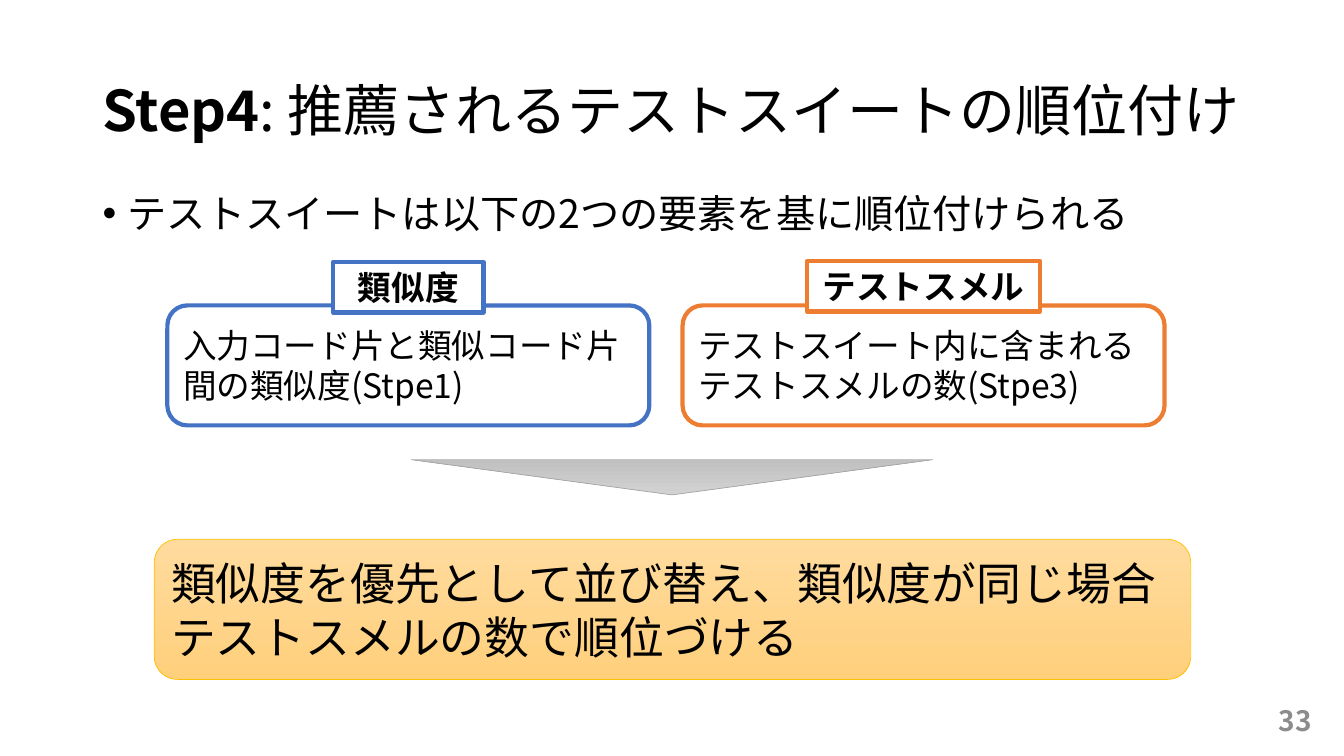
from lxml.etree import SubElement
from pptx import Presentation
from pptx.dml.color import RGBColor
from pptx.enum.shapes import MSO_SHAPE
from pptx.enum.text import MSO_ANCHOR, PP_ALIGN
from pptx.oxml.ns import qn
from pptx.util import Inches, Pt

FONT = "Noto Sans CJK JP"
COLORS = {
    "black": "000000", "white": "FFFFFF", "number": "8C8C8C",
    "blue": "4472C4", "orange": "ED7D31", "gray": "A5A5A5", "gold": "FFC000",
    "gray_light": "D2D2D2", "gray_dark": "C0C0C0",
    "gold_light": "FFDB9E", "gold_dark": "FFD07C",
}
TITLE = [("Step4", True), (": 推薦されるテストスイートの順位付け", False)]
LEAD = [("テストスイートは以下の2つの要素を基に順位付けられる", False)]
PAGE_NUMBER = [("33", True)]
FACTORS = [
    {"label": "類似度", "text": "入力コード片と類似コード片間の類似度(Stpe1)",
     "color": "blue", "left": 1.66, "label_width": 1.49, "label_top": 2.6},
    {"label": "テストスメル", "text": "テストスイート内に含まれるテストスメルの数(Stpe3)",
     "color": "orange", "left": 6.77, "label_width": 2.31, "label_top": 2.59},
]
CONCLUSION = [("類似度を優先として並び替え、類似度が同じ場合テストスメルの数で順位づける", False)]
FACTOR_TOP, FACTOR_WIDTH, FACTOR_HEIGHT = 3.03, 4.78, 1.19
LABEL_HEIGHT = 0.5


def rgb(name):
    """Return the named colour."""
    return RGBColor.from_string(COLORS[name])


def write(shape, spans, size, color="black", anchor=MSO_ANCHOR.MIDDLE, **layout):
    """Fill a shape with one paragraph and return that paragraph."""
    frame = shape.text_frame
    frame.word_wrap = True
    frame.vertical_anchor = anchor
    para = frame.paragraphs[0]
    for name, value in {"alignment": PP_ALIGN.LEFT, **layout}.items():
        setattr(para, name, value)
    for text, bold in spans:
        span = para.add_run()
        span.text = text
        for name, value in {"name": FONT, "size": Pt(size), "bold": bold}.items():
            setattr(span.font, name, value)
        span.font.color.rgb = rgb(color)
        SubElement(span.font._element, qn("a:ea"), typeface=FONT)
    return para


def add_text(page, place, *content, **layout):
    """Add a text box and return its paragraph."""
    box = page.shapes.add_textbox(*map(Inches, place))
    return write(box, *content, **layout)


def add_box(page, kind, place, line, width, fill):
    """Add an outlined shape with a plain fill or a vertical gradient."""
    shape = page.shapes.add_shape(kind, *map(Inches, place))
    shape.shadow.inherit = False
    shape.line.color.rgb = rgb(line)
    shape.line.width = Pt(width)
    if len(fill) == 1:
        shape.fill.solid()
        shape.fill.fore_color.rgb = rgb(fill[0])
    else:
        shape.fill.gradient()
        shape.fill.gradient_angle = 270
        for stop, name, position in zip(shape.fill.gradient_stops, fill, (0, 1)):
            stop.color.rgb = rgb(name)
            stop.position = position
    return shape


def add_factor(page, factor):
    """Add a rounded box with its label centred on the top edge."""
    place = (factor["left"], FACTOR_TOP, FACTOR_WIDTH, FACTOR_HEIGHT)
    body = add_box(page, MSO_SHAPE.ROUNDED_RECTANGLE, place, factor["color"], 3, ["white"])
    write(body, [(factor["text"], False)], 24)
    label_left = factor["left"] + (FACTOR_WIDTH - factor["label_width"]) / 2
    place = (label_left, factor["label_top"], factor["label_width"], LABEL_HEIGHT)
    label = add_box(page, MSO_SHAPE.RECTANGLE, place, factor["color"], 3, ["white"])
    write(label, [(factor["label"], True)], 24, alignment=PP_ALIGN.CENTER)


def main():
    """Build the slide and save it."""
    deck = Presentation()
    deck.slide_width, deck.slide_height = Inches(13.33), Inches(7.5)
    page = deck.slides.add_slide(deck.slide_layouts[6])
    add_text(page, (0.92, 0.4, 11.9, 1.45), TITLE, 40, line_spacing=0.9)
    lead = add_text(page, (0.92, 1.88, 11.5, 0.63), LEAD, 28,
                    anchor=MSO_ANCHOR.TOP, line_spacing=0.9)
    props = lead._p.get_or_add_pPr()
    props.set("marL", str(Inches(0.25)))
    props.set("indent", str(Inches(-0.25)))
    SubElement(props, qn("a:buFont"), typeface="Arial")
    SubElement(props, qn("a:buChar"), char="•")
    add_text(page, (10.11, 6.95, 3, 0.4), PAGE_NUMBER, 20, "number",
             alignment=PP_ALIGN.RIGHT)
    for factor in FACTORS:
        add_factor(page, factor)
    arrow = add_box(page, MSO_SHAPE.ISOSCELES_TRIANGLE, (4.08, 4.56, 5.17, 0.35),
                    "gray", 0.5, ["gray_light", "gray_dark"])
    arrow.rotation = 180
    conclusion = add_box(page, MSO_SHAPE.FLOWCHART_ALTERNATE_PROCESS,
                         (1.53, 5.35, 10.28, 1.39), "gold", 0.5,
                         ["gold_light", "gold_dark"])
    write(conclusion, CONCLUSION, 32)
    deck.save("out.pptx")


if __name__ == "__main__":
    main()
